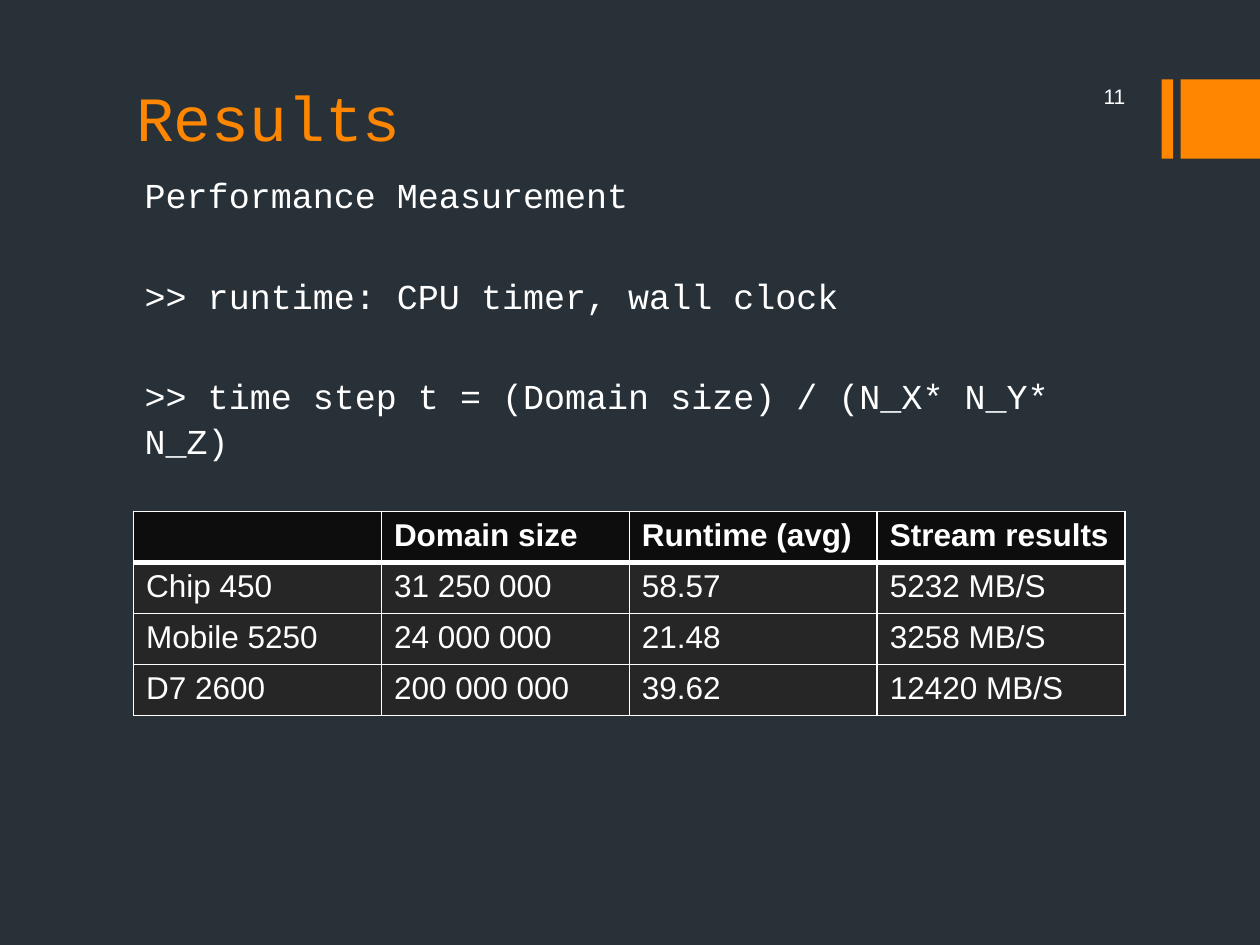
from lxml.etree import SubElement
from pptx import Presentation
from pptx.dml.color import RGBColor
from pptx.enum.shapes import MSO_SHAPE as Shape
from pptx.enum.text import MSO_ANCHOR as Anchor, PP_ALIGN as Align
from pptx.oxml.ns import qn
from pptx.util import Inches, Pt

ORANGE, WHITE, SLATE = "FF8600", "FFFFFF", "283138"
HEADER_FILL, ROW_FILL = "0D0D0D", "262626"
color = RGBColor.from_string


def write(paragraph, text, hex_color, **font_format):
    run = paragraph.add_run()
    run.text = text
    run.font.color.rgb = color(hex_color)
    for name, value in font_format.items():
        setattr(run.font, name, value)


def add_border(cell, side, points):
    """Draw one side (L, R, T or B) of a table cell in white."""
    line = SubElement(cell._tc.get_or_add_tcPr(), qn(f"a:ln{side}"), w=str(Pt(points)))
    SubElement(SubElement(line, qn("a:solidFill")), qn("a:srgbClr"), val=WHITE)


presentation = Presentation()
presentation.slide_width, presentation.slide_height = Inches(10), Inches(7.5)
slide = presentation.slides.add_slide(presentation.slide_layouts[5])
slide.background.fill.solid()
slide.background.fill.fore_color.rgb = color(SLATE)

# Orange marks at the right edge
for left, width in ((9.22, 0.09), (9.37, 0.63)):
    mark = slide.shapes.add_shape(
        Shape.RECTANGLE, Inches(left), Inches(0.63), Inches(width), Inches(0.63))
    mark.shadow.inherit = False
    mark.fill.solid()
    mark.fill.fore_color.rgb = color(ORANGE)
    mark.line.fill.background()

# Title
title = slide.shapes.title
title_box = {"left": 0.98, "top": 0.52, "width": 8, "height": 1.26}
for name, value in title_box.items():
    setattr(title, name, Inches(value))
title.text_frame.vertical_anchor = Anchor.TOP
title.text_frame.margin_top = Inches(0.1)
paragraph = title.text_frame.paragraphs[0]
paragraph.alignment = Align.LEFT
write(paragraph, "Results", ORANGE, name="Courier New", size=Pt(36))

# Body
statements = (
    "Performance Measurement",
    ">> runtime: CPU timer, wall clock",
    ">> time step t = (Domain size) / (N_X* N_Y* N_Z)",
)
body = slide.shapes.add_textbox(Inches(1.05), Inches(1.31), Inches(7.95), Inches(5.59))
frame = body.text_frame
frame.word_wrap = True
for index, statement in enumerate(statements):
    paragraph = frame.add_paragraph() if index else frame.paragraphs[0]
    paragraph.space_before = Pt(32 if index else 4)
    paragraph.line_spacing = 1.06
    write(paragraph, statement, WHITE, name="Courier New", size=Pt(20))

# Slide number
number = slide.shapes.add_textbox(Inches(8), Inches(0.6), Inches(1.03), Inches(0.33))
number.text_frame.word_wrap = True
number.text_frame.vertical_anchor = Anchor.MIDDLE
paragraph = number.text_frame.paragraphs[0]
paragraph.alignment = Align.RIGHT
write(paragraph, "11", WHITE, name="Arial", size=Pt(12))

# Table of measurements
measurements = (
    ("", "Domain size", "Runtime (avg)", "Stream results"),
    ("Chip 450", "31 250 000", "58.57", "5232 MB/S"),
    ("Mobile 5250", "24 000 000", "21.48", "3258 MB/S"),
    ("D7 2600", "200 000 000", "39.62", "12420 MB/S"),
)
table = slide.shapes.add_table(
    len(measurements), len(measurements[0]),
    Inches(1.06), Inches(4.06), Inches(7.87), Inches(1.62)).table
for row, values in enumerate(measurements):
    is_header = row == 0
    for column, value in enumerate(values):
        cell = table.cell(row, column)
        widths = {"L": 1, "R": 1, "T": 3 if row == 1 else 1, "B": 3 if is_header else 1}
        for side, points in widths.items():
            add_border(cell, side, points)
        cell.fill.solid()
        cell.fill.fore_color.rgb = color(HEADER_FILL if is_header else ROW_FILL)
        if value:
            write(cell.text_frame.paragraphs[0], value, WHITE,
                  name="Arial", size=Pt(18), bold=is_header)

presentation.save("out.pptx")
